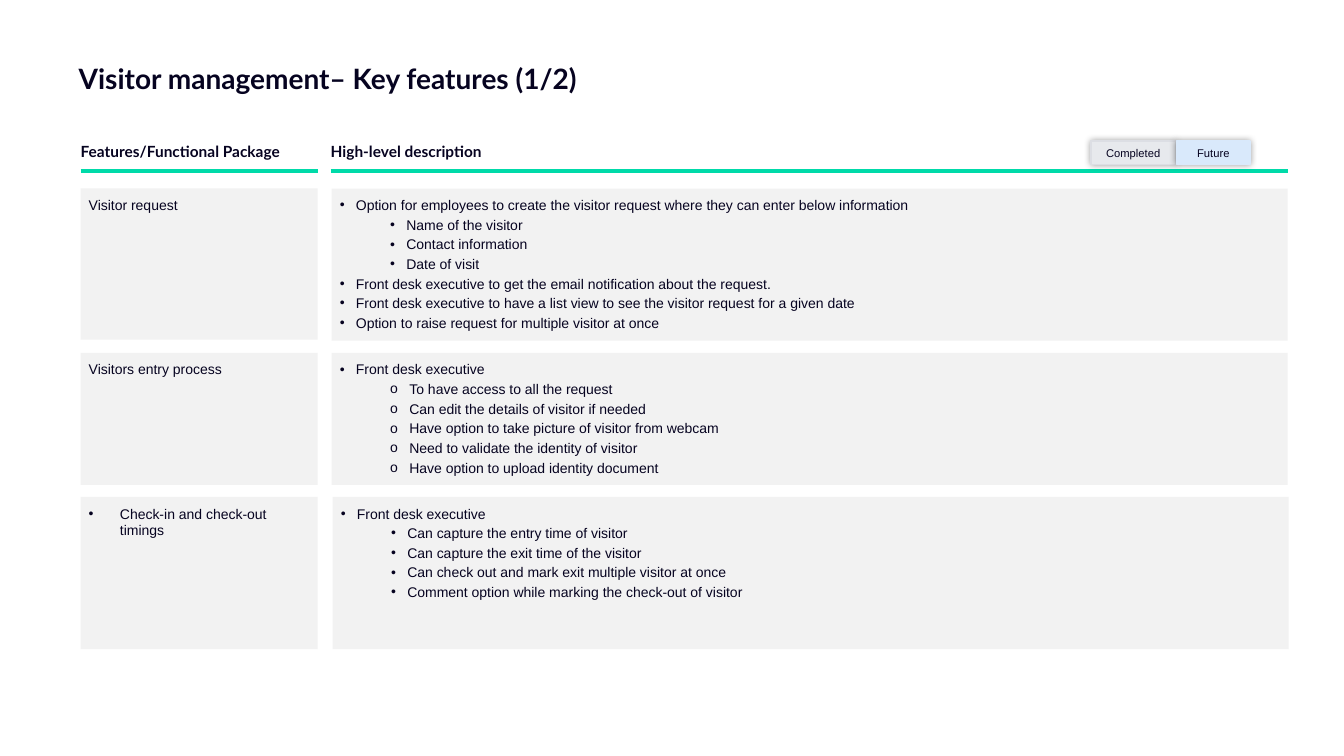
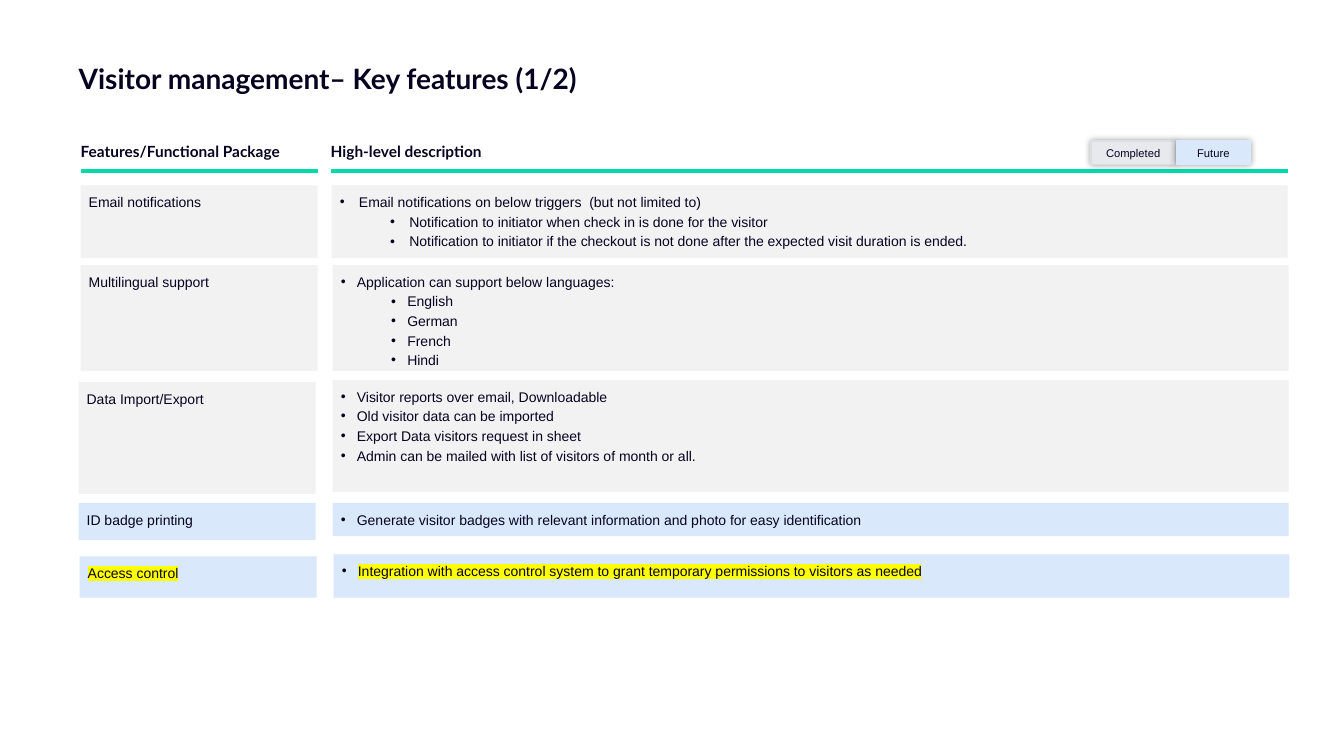
"""Build the two key-feature slides of a visitor management deck."""
from dataclasses import dataclass

from lxml.etree import SubElement
from pptx import Presentation
from pptx.dml.color import RGBColor as RGB
from pptx.enum.shapes import MSO_CONNECTOR as CONN, MSO_SHAPE as SHAPE
from pptx.enum.text import MSO_ANCHOR as ANCHOR, MSO_AUTO_SIZE as AUTO, PP_ALIGN as ALIGN
from pptx.oxml.ns import qn
from pptx.util import Emu, Pt


@dataclass(frozen=True)
class Theme:
    ink: str = "060320"
    rule: str = "00DAA9"
    done: str = "F2F2F2"
    future: str = "D9E9FB"
    chip: str = "E7E9ED"
    chip_line: str = "DCDEE4"
    mark: str = "FFFF00"
    shadow: str = "000000"
    head_font: str = "Lato"
    body_font: str = "Arial"
    title_pt: int = 20
    head_pt: int = 11
    body_pt: int = 10
    chip_pt: int = 8


@dataclass(frozen=True)
class Row:
    feature: str
    feature_at: tuple
    points: tuple
    points_at: tuple
    fill: str = Theme.done
    mark: str = None
    feature_hang: int = 0
    hangs: tuple = (16, 16)
    sub_bullet: str = "•"


T = Theme()
PX = 9144
FEATURE_W, POINTS_W = 235, 948
PAD = (8, 8, 8, 8)
SUB_INDENT = 50
TITLE = "Visitor management– Key features (1/2)"
HEADS = (("Features/Functional Package", 80, 235, 235),
         ("High-level description", 328, 581, 949))
CHIPS = (("Completed", 1082, 84, T.chip, T.chip_line),
         ("Future", 1167, 73, T.future, T.future))

REQUEST_ROWS = (
    Row("Visitor request", (80, 187, 150), (
        (0, "Option for employees to create the visitor request where they can enter below information"),
        (1, "Name of the visitor"),
        (1, "Contact information"),
        (1, "Date of visit"),
        (0, "Front desk executive to get the email notification about the request."),
        (0, "Front desk executive to have a list view to see the visitor request for a given date"),
        (0, "Option to raise request for multiple visitor at once"),
    ), (329, 187, 151)),
    Row("Visitors entry process", (80, 350, 131), (
        (0, "Front desk executive"),
        (1, "To have access to all the request"),
        (1, "Can edit the details of visitor if needed"),
        (1, "Have option to take picture of visitor from webcam"),
        (1, "Need to validate the identity of visitor"),
        (1, "Have option to upload identity document"),
    ), (329, 350, 131), hangs=(16, 19), sub_bullet="o"),
    Row("Check-in and check-out timings", (80, 493, 151), (
        (0, "Front desk executive"),
        (1, "Can capture the entry time of visitor"),
        (1, "Can capture the exit time of the visitor"),
        (1, "Can check out and mark exit multiple visitor at once"),
        (1, "Comment option while marking the check-out of visitor"),
    ), (330, 493, 151), feature_hang=31),
)

SUPPORT_ROWS = (
    Row("Email notifications", (80, 184, 72), (
        (0, "Email notifications on below triggers  (but not limited to)"),
        (1, "Notification to initiator when check in is done for the visitor"),
        (1, "Notification to initiator if the checkout is not done after the expected visit duration is ended."),
    ), (329, 184, 72), hangs=(19, 19)),
    Row("Multilingual support", (80, 263, 105), (
        (0, "Application can support below languages:"),
        (1, "English"),
        (1, "German"),
        (1, "French"),
        (1, "Hindi"),
    ), (330, 263, 105)),
    Row("Data Import/Export", (78, 379, 111), (
        (0, "Visitor reports over email, Downloadable"),
        (0, "Old visitor data can be imported"),
        (0, "Export Data visitors request in sheet"),
        (0, "Admin can be mailed with list of visitors of month or all."),
    ), (330, 377, 111)),
    Row("ID badge printing", (78, 499, 37), (
        (0, "Generate visitor badges with relevant information and photo for easy identification"),
    ), (330, 499, 33), T.future),
    Row("Access control", (79, 552, 41), (
        (0, "Integration with access control system to grant temporary permissions to visitors as needed"),
    ), (331, 550, 43), T.future, T.mark),
)


def px(*values):
    """Turn px lengths into EMU."""
    return [Emu(v * PX) for v in values]


def rgb(color):
    """Return the colour object of a hex string."""
    return RGB.from_string(color)


def set_frame(tf, insets, anchor=ANCHOR.TOP):
    """Set the wrapping, insets and anchor of a text frame."""
    tf.word_wrap = True
    tf.auto_size = AUTO.NONE
    tf.vertical_anchor = anchor
    tf.margin_left, tf.margin_top, tf.margin_right, tf.margin_bottom = px(*insets)


def write(p, text, font=T.body_font, size=T.body_pt, bold=False, align=ALIGN.LEFT,
          after=0, spacing=None, bullet=None, left=0, hang=0, mark=None):
    """Fill a paragraph with one formatted run."""
    p.alignment = align
    p.space_after = Pt(after)
    if spacing:
        p.line_spacing = spacing
    if bullet:
        pPr = p._p.get_or_add_pPr()
        pPr.set("marL", str((left + hang) * PX))
        pPr.set("indent", str(-hang * PX))
        SubElement(pPr, qn("a:buFont")).set("typeface", font)
        SubElement(pPr, qn("a:buChar")).set("char", bullet)
    r = p.add_run()
    r.text = text
    r.font.name, r.font.size, r.font.bold = font, Pt(size), bold
    r.font.color.rgb = rgb(T.ink)
    if mark:
        rPr = r._r.get_or_add_rPr()
        highlight = SubElement(rPr, qn("a:highlight"))
        SubElement(highlight, qn("a:srgbClr")).set("val", mark)
        rPr.find(qn("a:solidFill")).addnext(highlight)


def add_box(s, x, y, w, h, fill, line=None):
    """Add a flat rectangle."""
    sp = s.shapes.add_shape(SHAPE.RECTANGLE, *px(x, y, w, h))
    sp.shadow.inherit = False
    sp.fill.solid()
    sp.fill.fore_color.rgb = rgb(fill)
    if line:
        sp.line.color.rgb = rgb(line)
        sp.line.width = Pt(1)
    else:
        sp.line.fill.background()
    return sp


def add_glow(sp):
    """Give a shape a soft centred shadow."""
    effects = sp._element.spPr.find(qn("a:effectLst"))
    shadow = SubElement(effects, qn("a:outerShdw"), blurRad=str(Pt(5)), dist="0", dir="0",
                        algn="ctr", rotWithShape="0")
    color = SubElement(shadow, qn("a:srgbClr"), val=T.shadow)
    SubElement(color, qn("a:alpha"), val="40000")


def add_chip(s, text, x, w, fill, line):
    """Add one legend chip."""
    sp = add_box(s, x, 140, w, 23, fill, line)
    add_glow(sp)
    set_frame(sp.text_frame, (10, 5, 10, 5), ANCHOR.MIDDLE)
    write(sp.text_frame.paragraphs[0], text, size=T.chip_pt, align=ALIGN.CENTER)


def add_head(s, text, x, w, rule_w):
    """Add a column heading with its rule."""
    tf = s.shapes.add_textbox(*px(x, 140, w, 23)).text_frame
    set_frame(tf, (0, 0, 0, 0), ANCHOR.MIDDLE)
    write(tf.paragraphs[0], text, font=T.head_font, size=T.head_pt, bold=True, spacing=0.9)
    rule = s.shapes.add_connector(CONN.STRAIGHT, *px(x, 170, x + rule_w, 170))
    rule.line.color.rgb = rgb(T.rule)
    rule.line.width = Pt(3)
    SubElement(rule._element.spPr, qn("a:effectLst"))


def add_row(s, row):
    """Add a feature box and its description box."""
    x, y, h = row.feature_at
    tf = add_box(s, x, y, FEATURE_W, h, row.fill).text_frame
    set_frame(tf, PAD)
    write(tf.paragraphs[0], row.feature, after=3, mark=row.mark,
          bullet="•" if row.feature_hang else None, hang=row.feature_hang)
    x, y, h = row.points_at
    tf = add_box(s, x, y, POINTS_W, h, row.fill).text_frame
    set_frame(tf, PAD)
    for i, (level, text) in enumerate(row.points):
        p = tf.add_paragraph() if i else tf.paragraphs[0]
        p.level = level
        write(p, text, after=2, bullet=row.sub_bullet if level else "•",
              left=level * SUB_INDENT, hang=row.hangs[level], mark=row.mark)


def add_slide(prs, rows):
    """Add a slide with the title, headings, legend and rows."""
    s = prs.slides.add_slide(prs.slide_layouts[5])
    title = s.shapes.title
    title.left, title.top, title.width, title.height = px(78, 53, 1124, 47)
    set_frame(title.text_frame, (0, 8, 10, 5))
    write(title.text_frame.paragraphs[0], TITLE, font=T.head_font, size=T.title_pt, bold=True)
    for head in HEADS:
        add_head(s, *head)
    for row in rows:
        add_row(s, row)
    for chip in CHIPS:
        add_chip(s, *chip)


def main():
    """Build and save the deck."""
    prs = Presentation()
    prs.slide_width, prs.slide_height = px(1333, 750)
    for rows in (REQUEST_ROWS, SUPPORT_ROWS):
        add_slide(prs, rows)
    prs.save("out.pptx")


if __name__ == "__main__":
    main()
